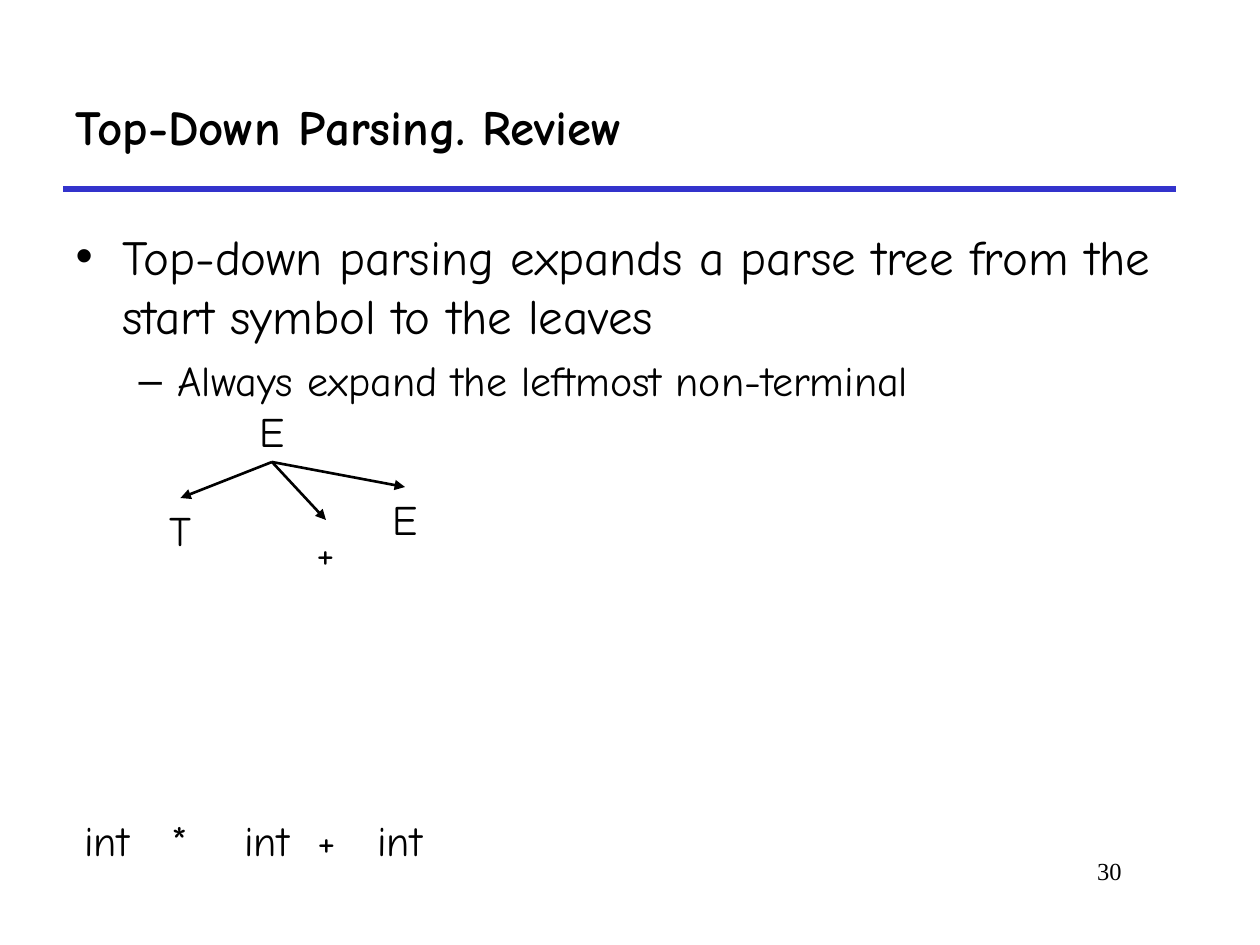
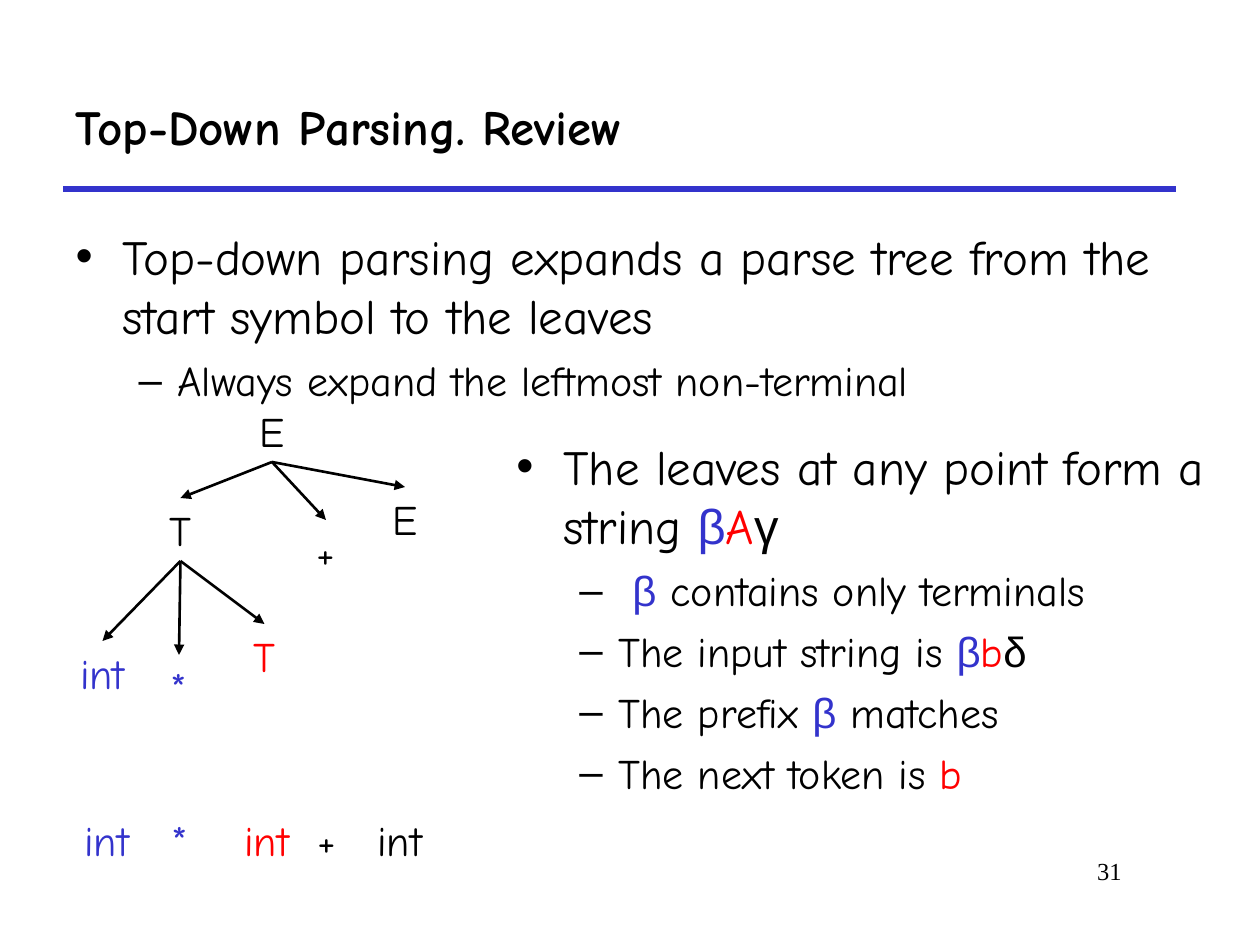
"""Build two review slides on top-down parsing with a growing parse tree."""
from lxml import etree
from pptx import Presentation
from pptx import util as u
from pptx.dml.color import RGBColor
from pptx.enum import shapes, text
from pptx.oxml.ns import qn

PX_PER_INCH = 126
FONT, GREEK_FONT, NUMBER_FONT = "Comic Neue", "Arial", "Times New Roman"
BULLET_FONT = "Arial"
COLORS = {"plain": "000000", "matched": "3333CC", "next": "FF0000"}
LEVELS = [
    {"bullet": "•", "size": 28, "margin": 47, "hang": 47, "before": 7},
    {"bullet": "–", "size": 24, "margin": 102, "hang": 39, "before": 6},
]

TITLE = "Top-Down Parsing. Review"
TITLE_BOX = (63, 63, 1113, 126)
RULE = (63, 189, 1176, 189)
BODY_BOX = (63, 220, 1144, 609)
NUMBER_BOX = (872, 850, 262, 63)
INPUT_BOX = (72, 808, 363, 63)
INPUT_TABS = (87, 160, 233, 293)
LEAVES_BOX = (504, 430, 714, 399)
NODE_HEIGHT = 63

REVIEW = [
    (0, 0, [("Top-down parsing expands a parse tree from the start symbol to the leaves", "plain")]),
    (1, 0, [("Always expand the leftmost non-terminal", "plain")]),
]
LEAVES = [
    (0, 0, [("The leaves at any point form a string ", "plain"), ("β", "matched"),
            ("A", "next"), ("γ", "plain")]),
    (1, 14, [("β", "matched"), (" contains only terminals", "plain")]),
    (1, 0, [("The input string is ", "plain"), ("β", "matched"), ("b", "next"), ("δ", "plain")]),
    (1, 0, [("The prefix ", "plain"), ("β", "matched"), (" matches", "plain")]),
    (1, 0, [("The next token is ", "plain"), ("b", "next")]),
]
ROOT = {"root": ("E", 247, 399, 50, "plain", None)}
SUM = {
    "term": ("T", 157, 498, 47, "plain", "root"),
    "plus": ("+", 304, 520, 44, "plain", "root"),
    "rest": ("E", 380, 487, 50, "plain", "root"),
}
PRODUCT = {
    "factor": ("int", 63, 641, 79, "matched", "term"),
    "times": ("*", 158, 655, 42, "matched", "term"),
    "tail": ("T", 241, 624, 47, "next", "term"),
}
SLIDES = [
    {"number": "30", "tree": ROOT | SUM, "leaves": [],
     "input": [("int\t*\tint\t+\tint", "plain")]},
    {"number": "31", "tree": ROOT | SUM | PRODUCT, "leaves": LEAVES,
     "input": [("int\t*\t", "matched"), ("int", "next"), ("\t+\tint", "plain")]},
]


def px(length):
    return u.Emu(round(length * 914400 / PX_PER_INCH))


def place(shape, box):
    shape.left, shape.top, shape.width, shape.height = map(px, box)


def write_runs(paragraph, runs, size, font=FONT, bold=False):
    for words, color in runs:
        run = paragraph.add_run()
        run.text = words
        run.font.name = GREEK_FONT if words in "βγδ" else font
        run.font.size = u.Pt(size)
        run.font.bold = bold
        run.font.color.rgb = RGBColor.from_string(COLORS[color])


def add_text(slide, box, runs, size=24, font=FONT, align=text.PP_ALIGN.LEFT, tabs=()):
    shape = slide.shapes.add_textbox(*map(px, box))
    frame = shape.text_frame
    frame.word_wrap = True
    paragraph = frame.paragraphs[0]
    if tabs:
        stops = etree.SubElement(paragraph._p.get_or_add_pPr(), qn("a:tabLst"))
        for position in tabs:
            etree.SubElement(stops, qn("a:tab"), pos=str(px(position)), algn="l")
    paragraph.alignment = align
    write_runs(paragraph, runs, size, font)
    return shape


def write_bullets(frame, items):
    frame.word_wrap = True
    frame.auto_size = text.MSO_AUTO_SIZE.NONE
    for index, (level, shift, runs) in enumerate(items):
        style = LEVELS[level]
        paragraph = frame.add_paragraph() if index else frame.paragraphs[0]
        properties = paragraph._p.get_or_add_pPr()
        properties.set("marL", str(px(style["margin"] + shift)))
        properties.set("indent", str(-px(style["hang"] + shift)))
        bullet_color = etree.SubElement(properties, qn("a:buClr"))
        etree.SubElement(bullet_color, qn("a:srgbClr"), val=COLORS["plain"])
        etree.SubElement(properties, qn("a:buFont"), typeface=BULLET_FONT)
        etree.SubElement(properties, qn("a:buChar"), char=style["bullet"])
        paragraph.level = level
        paragraph.space_before = u.Pt(style["before"] if index else 0)
        write_runs(paragraph, runs, style["size"])


def add_line(slide, ends, color, width, arrow=False):
    line = slide.shapes.add_connector(shapes.MSO_CONNECTOR.STRAIGHT, *map(px, ends))
    line.line.color.rgb = RGBColor.from_string(COLORS[color])
    line.line.width = u.Pt(width)
    properties = line.element.spPr
    if arrow:
        etree.SubElement(properties.find(qn("a:ln")), qn("a:tailEnd"), type="triangle")
    etree.SubElement(properties, qn("a:effectLst"))
    return line


def add_tree(slide, tree):
    nodes = {}
    for name, (label, left, top, width, color, parent) in tree.items():
        box = (left, top, width, NODE_HEIGHT)
        node = add_text(slide, box, [(label, color)], align=text.PP_ALIGN.CENTER)
        node.text_frame.word_wrap = False
        node.text_frame.auto_size = text.MSO_AUTO_SIZE.SHAPE_TO_FIT_TEXT
        nodes[name] = node
        if parent:
            branch = add_line(slide, (0, 0, 0, 0), "plain", 1.5, arrow=True)
            branch.begin_connect(nodes[parent], 2)
            branch.end_connect(node, 0)


def add_slide(presentation, content):
    slide = presentation.slides.add_slide(presentation.slide_layouts[1])
    title, body = slide.placeholders
    place(title, TITLE_BOX)
    title.text_frame.vertical_anchor = text.MSO_ANCHOR.MIDDLE
    title.text_frame.auto_size = text.MSO_AUTO_SIZE.NONE
    heading = title.text_frame.paragraphs[0]
    heading.alignment = text.PP_ALIGN.LEFT
    write_runs(heading, [(TITLE, "plain")], 28, bold=True)
    place(body, BODY_BOX)
    write_bullets(body.text_frame, REVIEW)
    add_line(slide, RULE, "matched", 3)
    add_text(slide, NUMBER_BOX, [(content["number"], "plain")], 14, NUMBER_FONT,
             text.PP_ALIGN.RIGHT)
    add_tree(slide, content["tree"])
    add_text(slide, INPUT_BOX, content["input"], tabs=INPUT_TABS)
    if content["leaves"]:
        leaves = slide.shapes.add_textbox(*map(px, LEAVES_BOX))
        write_bullets(leaves.text_frame, content["leaves"])


def main():
    presentation = Presentation()
    presentation.slide_width, presentation.slide_height = u.Inches(10), u.Inches(7.5)
    for content in SLIDES:
        add_slide(presentation, content)
    presentation.save("out.pptx")


if __name__ == "__main__":
    main()
